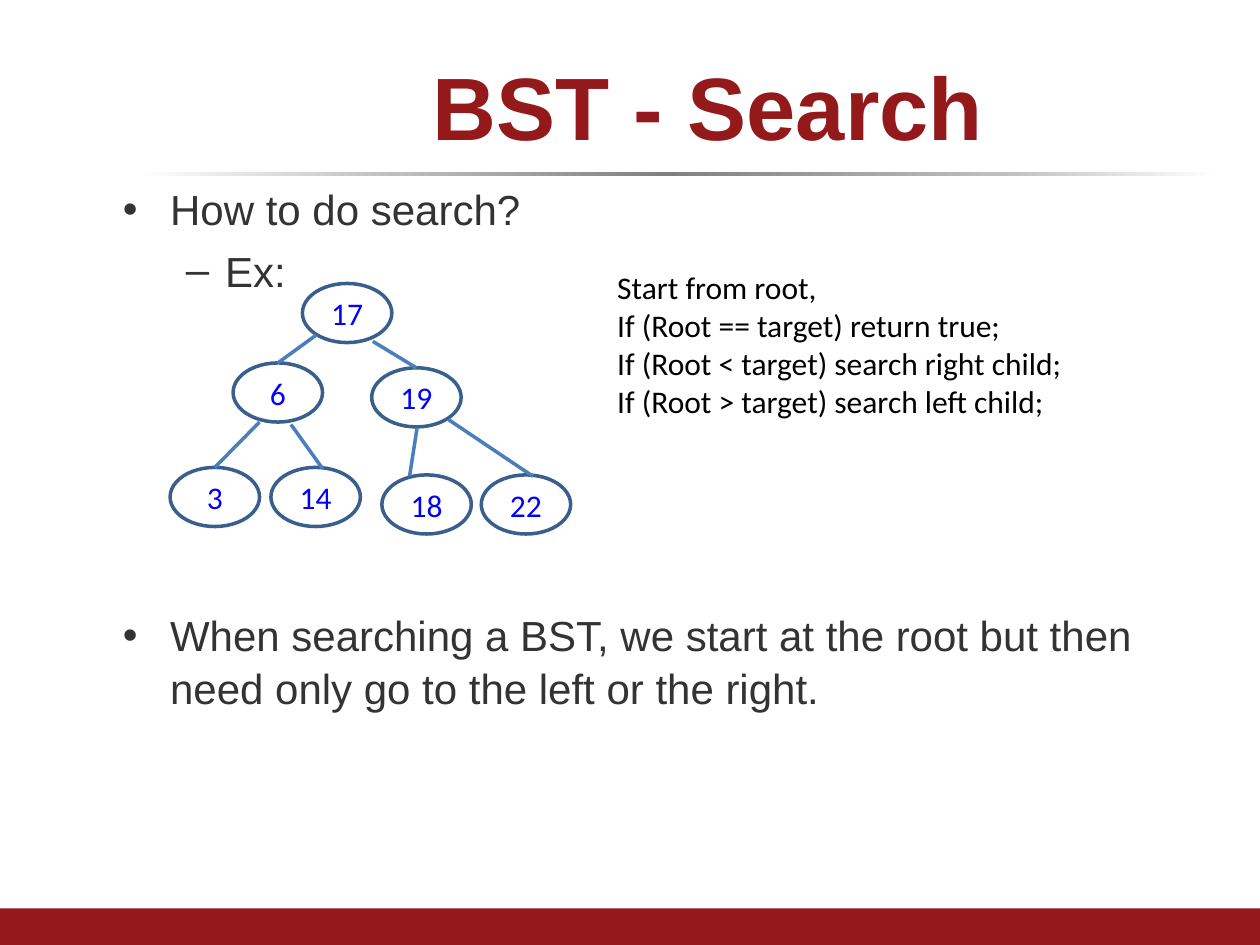
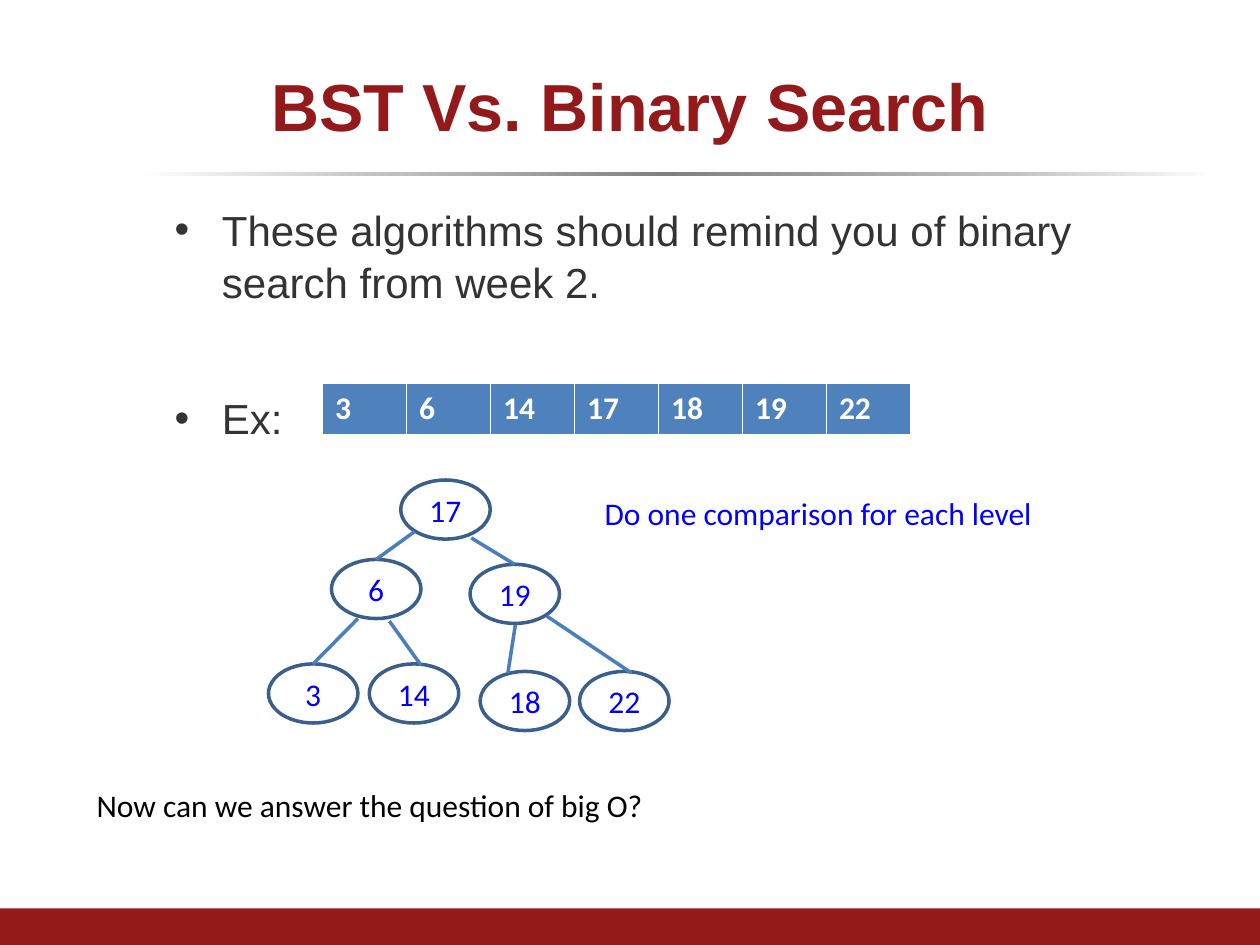
from lxml import etree
from pptx import Presentation
from pptx.dml.color import RGBColor
from pptx.enum.shapes import MSO_CONNECTOR, MSO_SHAPE
from pptx.enum.text import MSO_ANCHOR, MSO_AUTO_SIZE, PP_ALIGN
from pptx.oxml.ns import qn
from pptx.util import Pt

RECTANGLE, OVAL = MSO_SHAPE.RECTANGLE, MSO_SHAPE.OVAL
STRAIGHT = MSO_CONNECTOR.STRAIGHT
MIDDLE, CENTER = MSO_ANCHOR.MIDDLE, PP_ALIGN.CENTER
NO_AUTOFIT = MSO_AUTO_SIZE.NONE

COLORS = {
    "brand": "93191B", "body": "333333", "black": "000000", "blue": "0000FF",
    "node_line": "3A5F8C", "edge": "4B7EBC", "cell": "4F81BD", "white": "FFFFFF",
}
RULE_STOPS = [(0, "FFFFFF"), (24, "BFBFBF"), (49, "808080"),
              (80, "BFBFBF"), (100, "FFFFFF")]

BODY_FONT = {"name": "Arial", "size": Pt(24)}
NOTE_FONT = {"name": "Calibri", "size": Pt(18)}
CELL_FONT = {**NOTE_FONT, "bold": True}

# Left margin and first-line indent of each list level
INDENTS = [(Pt(49), Pt(-27)), (Pt(80.5), Pt(-22.5))]

NODE_WIDTH, NODE_HEIGHT = 51.1, 33.8
# Top left corner of each node, from the corner of the tree
NODES = {
    17: (75.6, 0), 6: (36, 45.4), 19: (115.2, 48.2), 3: (0, 105.1),
    14: (57.6, 105.1), 18: (121, 109.4), 22: (177.8, 109.4),
}
# Parent, start from its corner, child, end from the middle of its top
EDGES = [
    (17, (7.9, 29.5), 6, (0, 0)), (17, (40.3, 33.1), 19, (0, 0)),
    (6, (15.1, 33.8), 3, (0, 0)), (6, (33.1, 35.2), 14, (4, 0.7)),
    (19, (25.9, 34.6), 18, (-9.7, 0.8)), (19, (43.9, 29.6), 22, (4, 0.8)),
]


def rgb(name):
    """Return the named colour."""
    return RGBColor.from_string(COLORS[name])


def points(*values):
    """Convert numbers to lengths in points."""
    return [Pt(value) for value in values]


def format_font(font, formats, color):
    """Apply the format values and a colour to a font."""
    for name, value in formats.items():
        setattr(font, name, value)
    font.color.rgb = rgb(color)


def place(shape, *box):
    """Move and size a shape."""
    for name, value in zip(("left", "top", "width", "height"), points(*box)):
        setattr(shape, name, value)


def add_bands(slide):
    """Draw the title rule and bottom band, kept on the slide's layout."""
    rule = slide.shapes.add_shape(RECTANGLE, *points(77.8, 98.6, 617.8, 2.2))
    rule.fill.gradient()
    rule.fill.gradient_angle = 0
    stops = rule.element.spPr.find(".//" + qn("a:gsLst"))
    for stop in list(stops):
        stops.remove(stop)
    for percent, color in RULE_STOPS:
        stop = etree.SubElement(stops, qn("a:gs"), pos=str(percent * 1000))
        etree.SubElement(stop, qn("a:srgbClr"), val=color)

    band = slide.shapes.add_shape(RECTANGLE, *points(0, 519.1, 720, 20.9))
    band.fill.solid()
    band.fill.fore_color.rgb = rgb("brand")
    for shape in (rule, band):
        shape.line.fill.background()
        shape.shadow.inherit = False
        slide.slide_layout.shapes.element.append(shape.element)


def set_title(slide, text, left, size):
    """Fill and format the title placeholder."""
    title = slide.shapes.title
    place(title, left, 21.6, 648, 77)
    frame = title.text_frame
    frame.text = text
    frame.auto_size = NO_AUTOFIT
    frame.vertical_anchor = MIDDLE
    paragraph = frame.paragraphs[0]
    paragraph.alignment = CENTER
    formats = {"name": "Arial", "size": Pt(size), "bold": True}
    format_font(paragraph.font, formats, "brand")


def set_body(slide, box, items):
    """Fill the list placeholder with (text, level, space before) items."""
    body = slide.placeholders[1]
    place(body, *box)
    frame = body.text_frame
    frame.text = "\n".join(text for text, _, _ in items)
    frame.auto_size = NO_AUTOFIT
    for paragraph, (_, level, gap) in zip(frame.paragraphs, items):
        paragraph.level = level
        paragraph.line_spacing = 1.05
        if gap:
            paragraph.space_before = Pt(gap)
        format_font(paragraph.font, BODY_FONT, "body")
        properties = paragraph._p.get_or_add_pPr()
        for name, value in zip(("marL", "indent"), INDENTS[level]):
            properties.set(name, str(value))


def add_note(slide, box, text, color="black"):
    """Add a text box with one paragraph for each line of text."""
    frame = slide.shapes.add_textbox(*points(*box)).text_frame
    frame.word_wrap = True
    frame.text = text
    for paragraph in frame.paragraphs:
        format_font(paragraph.font, NOTE_FONT, color)


def add_node(shapes, key, left, top):
    """Add an outlined oval with its key."""
    node = shapes.add_shape(OVAL, *points(left, top, NODE_WIDTH, NODE_HEIGHT))
    node.shadow.inherit = False
    node.fill.background()
    node.line.color.rgb = rgb("node_line")
    node.line.width = Pt(2)
    frame = node.text_frame
    frame.text = str(key)
    frame.vertical_anchor = MIDDLE
    paragraph = frame.paragraphs[0]
    paragraph.alignment = CENTER
    format_font(paragraph.font, NOTE_FONT, "blue")


def add_edge(shapes, *ends):
    """Add a straight line between two tree nodes."""
    edge = shapes.add_connector(STRAIGHT, *points(*ends))
    edge.line.color.rgb = rgb("edge")
    edge.line.width = Pt(2)
    etree.SubElement(edge.element.spPr, qn("a:effectLst"))


def add_tree(shapes, left, top):
    """Draw the binary search tree with its corner at left, top."""
    corners = {key: (left + x, top + y) for key, (x, y) in NODES.items()}
    for key, corner in corners.items():
        add_node(shapes, key, *corner)
    for parent, (start_x, start_y), child, (end_x, end_y) in EDGES:
        parent_x, parent_y = corners[parent]
        child_x, child_y = corners[child]
        add_edge(shapes, parent_x + start_x, parent_y + start_y,
                 child_x + NODE_WIDTH / 2 + end_x, child_y + end_y)


def add_array(slide, keys, left, top, cell_width, height):
    """Add the sorted array as a table of one row."""
    box = points(left, top, cell_width * len(keys), height)
    table = slide.shapes.add_table(1, len(keys), *box).table
    for column, key in enumerate(keys):
        table.columns[column].width = Pt(cell_width)
        cell = table.cell(0, column)
        cell.text = str(key)
        cell.fill.solid()
        cell.fill.fore_color.rgb = rgb("cell")
        format_font(cell.text_frame.paragraphs[0].font, CELL_FONT, "white")


def build_search(slide):
    """Build the slide on searching a tree."""
    set_title(slide, "BST - Search", 80.6, 50.6)
    set_body(slide, (41, 100, 648, 408), [
        ("How to do search?", 0, None),
        ("Ex: ", 1, None),
        ("When searching a BST, we start at the root but then need only go "
         "to the left or the right. ", 0, 178),
    ])
    add_tree(slide.shapes, 97.2, 162)
    add_note(slide, (345.6, 149.8, 358, 94.3),
             "Start from root,\n"
             "If (Root == target) return true;\n"
             "If (Root < target) search right child;\n"
             "If (Root > target) search left child;")


def build_comparison(slide):
    """Build the slide that compares the tree with binary search."""
    set_title(slide, "BST Vs. Binary Search", 36, 38)
    set_body(slide, (70.6, 111.6, 618.5, 385), [
        ("These algorithms should remind you of binary search from week 2.",
         0, None),
        ("Ex:", 0, 47.5),
    ])
    add_array(slide, sorted(NODES), 184.3, 219, 48, 29.2)
    add_tree(slide.shapes.add_group_shape().shapes, 153.4, 274.3)
    add_note(slide, (48.2, 445.7, 618, 29), "Now can we answer the question of big O?")
    add_note(slide, (338.4, 278.6, 367, 29), "Do one comparison for each level", "blue")


def main():
    """Build and save the presentation."""
    presentation = Presentation()
    presentation.slide_width, presentation.slide_height = points(720, 540)
    layout = presentation.slide_layouts[1]
    search = presentation.slides.add_slide(layout)
    add_bands(search)
    build_search(search)
    build_comparison(presentation.slides.add_slide(layout))
    presentation.save("out.pptx")


main()
